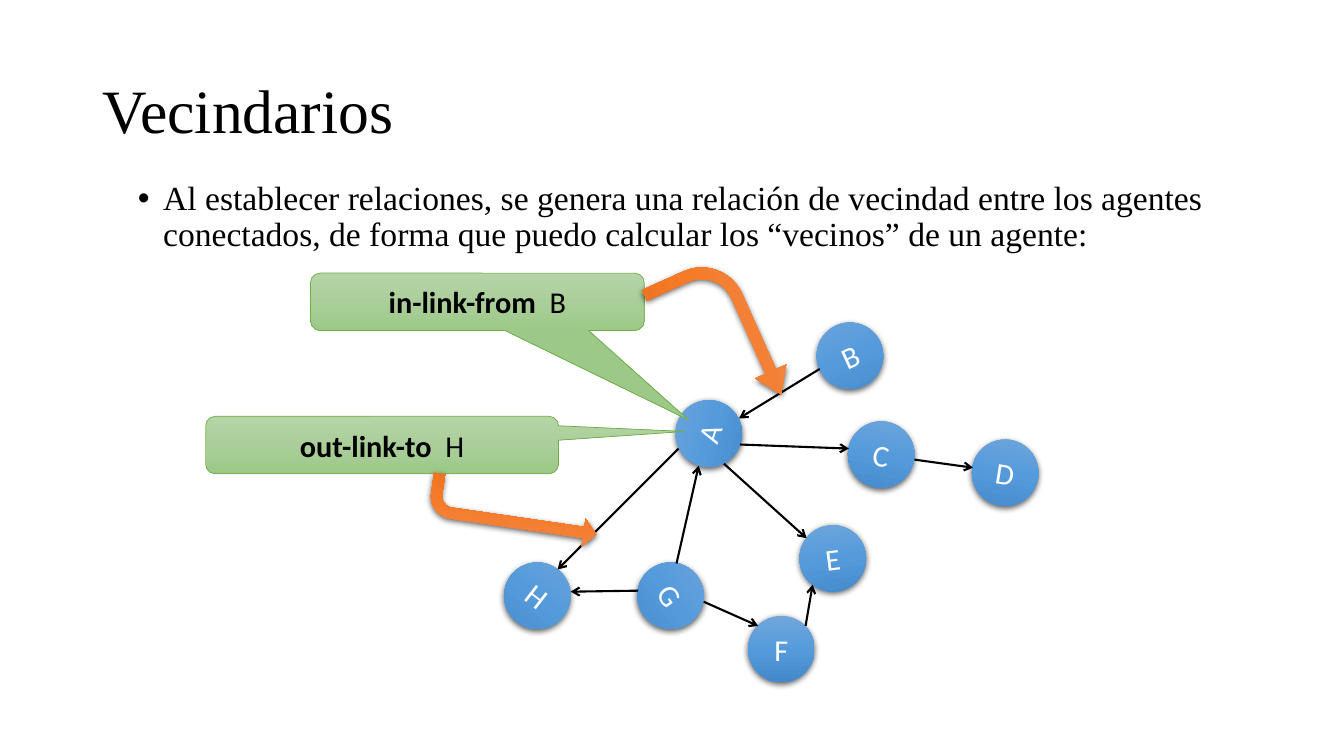
import copy

import pptx
import pptx.dml.color
import pptx.enum.dml
import pptx.enum.shapes
import pptx.enum.text
import pptx.oxml
import pptx.oxml.ns
import pptx.util

Inches, Pt = pptx.util.Inches, pptx.util.Pt
SHAPE = pptx.enum.shapes.MSO_SHAPE
ALIGN = pptx.enum.text.PP_ALIGN
ANCHOR = pptx.enum.text.MSO_ANCHOR
qn = pptx.oxml.ns.qn
NS = pptx.oxml.ns.nsdecls("a")


def rgb(value):
    return pptx.dml.color.RGBColor.from_string(value)


def xml(text):
    return pptx.oxml.parse_xml(text.replace(" ", f" {NS} ", 1))


class Deck:
    BLUE = ("71A6DB", "559BDB", "448ACA")
    GREEN = ("B5D5A7", "AACE9A", "9CC987")
    ORANGE = ("F18C57", "F67B28", "E56C19")
    HEADING = {"name": "Times New Roman", "size": Pt(44)}
    BODY = {"name": "Times New Roman", "size": Pt(24)}
    LABEL = {"name": "Calibri", "size": Pt(21.6)}

    def __init__(self, prs):
        self.s = prs.slides.add_slide(prs.slide_layouts[6])

    def run(self, p, text, style, color="000000", bold=False):
        r = p.add_run()
        r.text = text
        for key, value in {**style, "bold": bold}.items():
            setattr(r.font, key, value)
        r.font.color.rgb = rgb(color)

    def text(self, box, text, style, anchor, bullet=False):
        sp = self.s.shapes.add_textbox(*map(Inches, box))
        tf = sp.text_frame
        tf.word_wrap = True
        tf.vertical_anchor = anchor
        p = tf.paragraphs[0]
        p.line_spacing = 0.9
        if bullet:
            pPr = p._p.get_or_add_pPr()
            pPr.set("marL", str(Inches(0.25)))
            pPr.set("indent", str(-Inches(0.25)))
            pPr.append(xml('<a:buFont typeface="Arial"/>'))
            pPr.append(xml('<a:buChar char="•"/>'))
        self.run(p, text, style)

    def shape(self, kind, box, colors, rot=0, adj=(), line=None, shadow=True):
        sp = self.s.shapes.add_shape(kind, *map(Inches, box))
        sp.rotation = rot
        for i, value in enumerate(adj):
            sp.adjustments[i] = value
        # Three-stop vertical gradient
        sp.fill.gradient()
        sp.fill.gradient_angle = 270
        stops = sp.element.spPr.find(".//" + qn("a:gsLst"))
        stops.append(copy.deepcopy(stops[0]))
        for i, (stop, color) in enumerate(zip(sp.fill.gradient_stops, colors)):
            stop.position = i / 2
            stop.color.rgb = rgb(color)
        if line:
            sp.line.color.rgb = rgb(line)
            sp.line.width = Pt(0.5)
        else:
            sp.line.fill.background()
        sp.shadow.inherit = False
        if shadow:
            sp.element.spPr.find(qn("a:effectLst")).append(xml(
                f'<a:outerShdw blurRad="{Pt(4.5)}" dist="{Pt(1.5)}" dir="5400000" '
                'rotWithShape="0"><a:srgbClr val="000000"><a:alpha val="63000"/>'
                '</a:srgbClr></a:outerShdw>'))
        return sp

    def label(self, sp, runs, color):
        tf = sp.text_frame
        tf.word_wrap = True
        tf.vertical_anchor = ANCHOR.MIDDLE
        p = tf.paragraphs[0]
        p.alignment = ALIGN.CENTER
        for text, bold in runs:
            self.run(p, text, self.LABEL, color, bold)

    def node(self, name, x, y, rot):
        sp = self.shape(SHAPE.OVAL, (x, y, 0.66, 0.66), self.BLUE, rot)
        self.label(sp, [(name, False)], "FFFFFF")

    def callout(self, box, adj, command, target):
        sp = self.shape(SHAPE.ROUNDED_RECTANGULAR_CALLOUT, box, self.GREEN,
                        adj=adj, line="70AD47", shadow=False)
        self.label(sp, [(command, True), (target, False)], "000000")

    def bent_arrow(self, box, rot, adj, flip=False):
        sp = self.shape(SHAPE.BENT_ARROW, box, self.ORANGE, rot, adj)
        if flip:
            sp.element.spPr.find(qn("a:xfrm")).set("flipV", "1")

    def link(self, *ends):
        c = self.s.shapes.add_connector(
            pptx.enum.shapes.MSO_CONNECTOR.STRAIGHT, *map(Inches, ends))
        c.line.color.rgb = rgb("000000")
        c.line.width = Pt(1.5)
        c.line._get_or_add_ln().append(xml('<a:tailEnd type="arrow"/>'))
        c.element.spPr.append(xml("<a:effectLst />"))


def main():
    prs = pptx.Presentation()
    prs.slide_width, prs.slide_height = Inches(13.33), Inches(7.5)
    deck = Deck(prs)

    # Title and explanation
    deck.text((0.92, 0.4, 11.5, 1.45), "Vecindarios", deck.HEADING, ANCHOR.MIDDLE)
    deck.text((1.27, 1.75, 10.8, 1.15),
              "Al establecer relaciones, se genera una relación de vecindad entre "
              "los agentes conectados, de forma que puedo calcular los “vecinos” "
              "de un agente:", deck.BODY, ANCHOR.TOP, bullet=True)

    # Agents
    for agent in [("A", 6.7, 3.97, 288.4), ("C", 8.41, 4.18, 9),
                  ("B", 8.1, 3.2, 335.5), ("E", 7.93, 5.21, 352.6),
                  ("G", 6.32, 5.58, 54.4), ("H", 5, 5.58, 37.8),
                  ("F", 7.42, 6.11, 0), ("D", 9.64, 4.36, 9)]:
        deck.node(*agent)

    # Incoming link callout, behind the links
    deck.callout((3.08, 2.71, 3.31, 0.57), (0.632, 2.053, 0.167),
                 "in-link-from", "  B")

    # Directed links between agents
    for ends in [(8.13, 3.66, 7.33, 4.15),  # B to A
                 (6.71, 5.59, 6.93, 4.62),  # G to A
                 (7.34, 4.41, 8.42, 4.45),  # A to C
                 (7.18, 4.6, 8, 5.34),      # A to E
                 (6.73, 4.45, 5.53, 5.65),  # A to H
                 (9.07, 4.56, 9.65, 4.64),  # C to D
                 (7.99, 6.21, 8.06, 5.8),   # F to E
                 (6.98, 5.97, 7.52, 6.21),  # G to F
                 (6.33, 5.86, 5.66, 5.87)]:  # G to H
        deck.link(*ends)

    # Outgoing link callout and pointers to the links
    deck.bent_arrow((6.38, 2.86, 1.51, 1), 65.8, (0.115, 0.169, 0.25, 0.438))
    deck.callout((2.04, 4.13, 3.5, 0.57), (0.858, -0.235, 0.167),
                 "out-link-to ", " H")
    deck.bent_arrow((4.26, 4.81, 1.68, 0.51), 8.3,
                    (0.219, 0.273, 0.25, 0.438), flip=True)

    prs.save("out.pptx")


if __name__ == "__main__":
    main()
